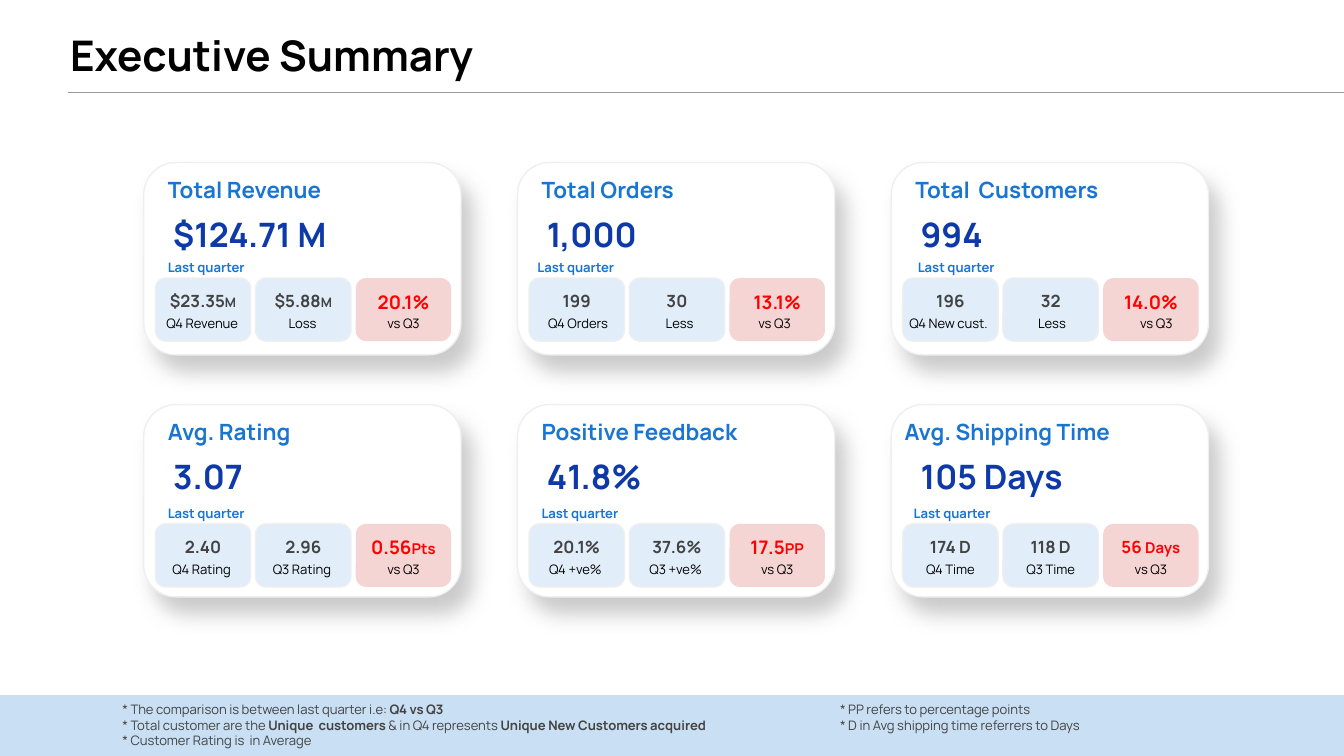
import pptx
import pptx.util
import pptx.oxml
import pptx.oxml.ns
import pptx.dml.color
import pptx.enum.shapes
import pptx.enum.text
import lxml.etree

Pt = pptx.util.Pt
qn = pptx.oxml.ns.qn
Kind = pptx.enum.shapes.MSO_SHAPE
Align = pptx.enum.text.PP_ALIGN
Anchor = pptx.enum.text.MSO_ANCHOR
Fit = pptx.enum.text.MSO_AUTO_SIZE

BLUE, NAVY, GREY, RED = "1975D2", "0E39A9", "434343", "FF0000"


def tint(fill, hue, alpha=100):
    """Colour a shape, line or font fill, with opacity in percent."""
    fill.solid()
    fill.fore_color.rgb = pptx.dml.color.RGBColor.from_string(hue)
    if alpha < 100:
        tone = fill._xPr.find(".//" + qn("a:srgbClr"))
        lxml.etree.SubElement(tone, qn("a:alpha"), val=str(alpha * 1000))


def write(shape, rows, pad, align=Align.LEFT, anchor=Anchor.TOP):
    """Fill a shape with rows of runs: (text, size, hue, bold)."""
    frame = shape.text_frame
    form = dict(word_wrap=True, auto_size=Fit.NONE, vertical_anchor=anchor)
    form.update({"margin_" + side: Pt(pad) for side in ("left", "top", "right", "bottom")})
    for key, val in form.items():
        setattr(frame, key, val)
    for i, row in enumerate(rows):
        para = frame.add_paragraph() if i else frame.paragraphs[0]
        para.alignment = align
        if shape.is_placeholder:
            para.space_before = Pt(0)
            props = para._p.get_or_add_pPr()
            props.set("marL", "0")
            props.set("indent", "0")
            lxml.etree.SubElement(props, qn("a:buNone"))
        for text, size, hue, bold in row:
            run = para.add_run()
            run.text = text
            for key, val in dict(name="Manrope", size=Pt(size), bold=bold).items():
                setattr(run.font, key, val)
            tint(run.font.fill, hue)


deck = pptx.Presentation()
deck.slide_width, deck.slide_height = Pt(720), Pt(405)
slide = deck.slides.add_slide(deck.slide_layouts[3])
shapes = slide.shapes
title, left, right = slide.placeholders

# Footer band, behind the notes
band = shapes.add_shape(Kind.RECTANGLE, 0, Pt(372.4), Pt(720), Pt(32.6))
band.shadow.inherit = False
tint(band.fill, BLUE, 23)
band.line.fill.background()
shapes._spTree.insert(2, band._element)

# Title, footnotes
notes = [
    [("* The comparison is between last quarter i.e: ", 7, GREY, False),
     ("Q4 vs Q3", 7, GREY, True)],
    [("* Total customer are the ", 7, GREY, False),
     ("Unique  customers ", 7, GREY, True),
     ("& in Q4 represents", 7, GREY, False),
     (" Unique New Customers acquired", 7, GREY, True)],
    [("* Customer Rating is  in Average", 7, GREY, False)],
]
terms = [[(text, 7, GREY, False)] for text in (
    "* PP refers to percentage points",
    "* D in Avg shipping time referrers to Days")]
for holder, area, rows, pad in (
    (title, (28.1, 6.5, 282.2, 54), [[("Executive Summary", 22.6, "000000", True)]], 9.4),
    (left, (58.3, 368.6, 359.3, 48.2), notes, 7.2),
    (right, (442.8, 368.6, 359.3, 31.7), terms, 7.2),
):
    for key, val in zip(("left", "top", "width", "height"), area):
        setattr(holder, key, Pt(val))
    write(holder, rows, pad)

# Rule under the title
rule = shapes.add_connector(pptx.enum.shapes.MSO_CONNECTOR.STRAIGHT,
                            Pt(36.7), Pt(49.7), Pt(720), Pt(49.7))
rule.line.width = Pt(0.75)
tint(rule.line.fill, "999999")
lxml.etree.SubElement(rule._element.spPr, qn("a:effectLst"))

# Cards: name, its inset and width, value, inset of "Last quarter",
# then tiles: number, size, unit, unit size, label, label shift
cards = [
    ("Total Revenue", 8, 122, "$124.71 M", 5.8, [
        ("$23.35", 9, "M", 7, "Q4 Revenue", -0.4),
        ("$5.88", 9, "M", 7, "Loss", -0.4),
        ("20.1%", 10, "", 8, "vs Q3", 0)]),
    ("Total Orders", 8, 122, "1,000", 3.6, [
        ("199", 9, "", 7, "Q4 Orders", 0.7),
        ("30", 9, "", 7, "Less", 1.4),
        ("13.1%", 10, "", 8, "vs Q3", -1.4)]),
    ("Total  Customers", 8, 162, "994", 7.2, [
        ("196", 9, "", 7, "Q4 New cust.", -1),
        ("32", 9, "", 7, "Less", 0.7),
        ("14.0%", 10, "", 8, "vs Q3", 2.9)]),
    ("Avg. Rating", 8, 122, "3.07", 5.8, [
        ("2.40", 9, "", 7, "Q4 Rating", -0.7),
        ("2.96", 9, "", 7, "Q3 Rating", -0.7),
        ("0.56", 10, "Pts", 8, "vs Q3", 0)]),
    ("Positive Feedback", 8, 132, "41.8%", 5.8, [
        ("20.1%", 9, "", 7, "Q4 +ve%", -0.7),
        ("37.6%", 9, "", 7, "Q3 +ve%", -0.7),
        ("17.5", 10, "PP", 8, "vs Q3", 0)]),
    ("Avg. Shipping Time", 2.2, 145, "105 Days", 5, [
        ("174 D", 9, "", 7, "Q4 Time", 0),
        ("118 D", 9, "", 7, "Q3 Time", 0),
        ("56 ", 9, "Days", 8, "vs Q3", 0)]),
]
for i, (name, inset, width, value, shift, tiles) in enumerate(cards):
    row, col = divmod(i, 3)
    x, y = 77 + 200.2 * col, 87.1 + 129.7 * row
    drop = 2 * row

    # Card with a soft shadow
    card = shapes.add_shape(Kind.ROUNDED_RECTANGLE, Pt(x), Pt(y), Pt(170), Pt(103))
    tint(card.fill, "FFFFFF")
    tint(card.line.fill, "EFEFEF")
    card.line.width = Pt(0.75)
    card.shadow.inherit = False
    glow = lxml.etree.SubElement(
        card._element.spPr.find(qn("a:effectLst")), qn("a:outerShdw"),
        blurRad=str(Pt(11.2)), dist=str(Pt(10.5)), dir=str(57 * 60000),
        algn="bl", rotWithShape="0")
    tone = lxml.etree.SubElement(glow, qn("a:srgbClr"), val="999999")
    lxml.etree.SubElement(tone, qn("a:alpha"), val="51000")

    # Name, value and period
    for text, size, hue, dx, dy, w, h, pad in (
        (name, 12, BLUE, inset, 2.4, width, 25.2, 5),
        (value, 18, NAVY, 10.8, 22.3, 109 if len(value) > 5 else 85, 32.4, 5),
        ("Last quarter", 7, BLUE, shift, 44.7 + drop, 85, 23, 7.2),
    ):
        box = shapes.add_textbox(Pt(x + dx), Pt(y + dy), Pt(w), Pt(h))
        write(box, [[(text, size, hue, True)]], pad)

    # Tiles: two blue, then the red change
    for j, (num, size, unit, small, label, move) in enumerate(tiles):
        tx, ty = x + 6.2 + 53.7 * j, y + 61.9 + drop
        last = j == 2
        tile = shapes.add_shape(Kind.ROUNDED_RECTANGLE, Pt(tx), Pt(ty), Pt(51.1), Pt(33.8))
        tile.shadow.inherit = False
        if last:
            tint(tile.fill, "F4CCCC", 84)
            tile.line.fill.background()
        else:
            tint(tile.fill, BLUE, 13)
            tint(tile.line.fill, "EFEFEF")
            tile.line.width = Pt(0.75)
        hue = RED if last else GREY
        runs = [(num, size, hue, True)]
        if unit:
            runs.append((unit, small, hue, True))
        write(tile, [runs], 5, Align.CENTER)

        wide = 60.5 if len(label) > 9 else 51.1
        box = shapes.add_textbox(Pt(tx + move + (51.1 - wide) / 2), Pt(ty + 12.2),
                                 Pt(wide), Pt(24.5))
        write(box, [[(label, 7, "000000", False)]], 7.2, Align.CENTER, Anchor.MIDDLE)

deck.save("out.pptx")
